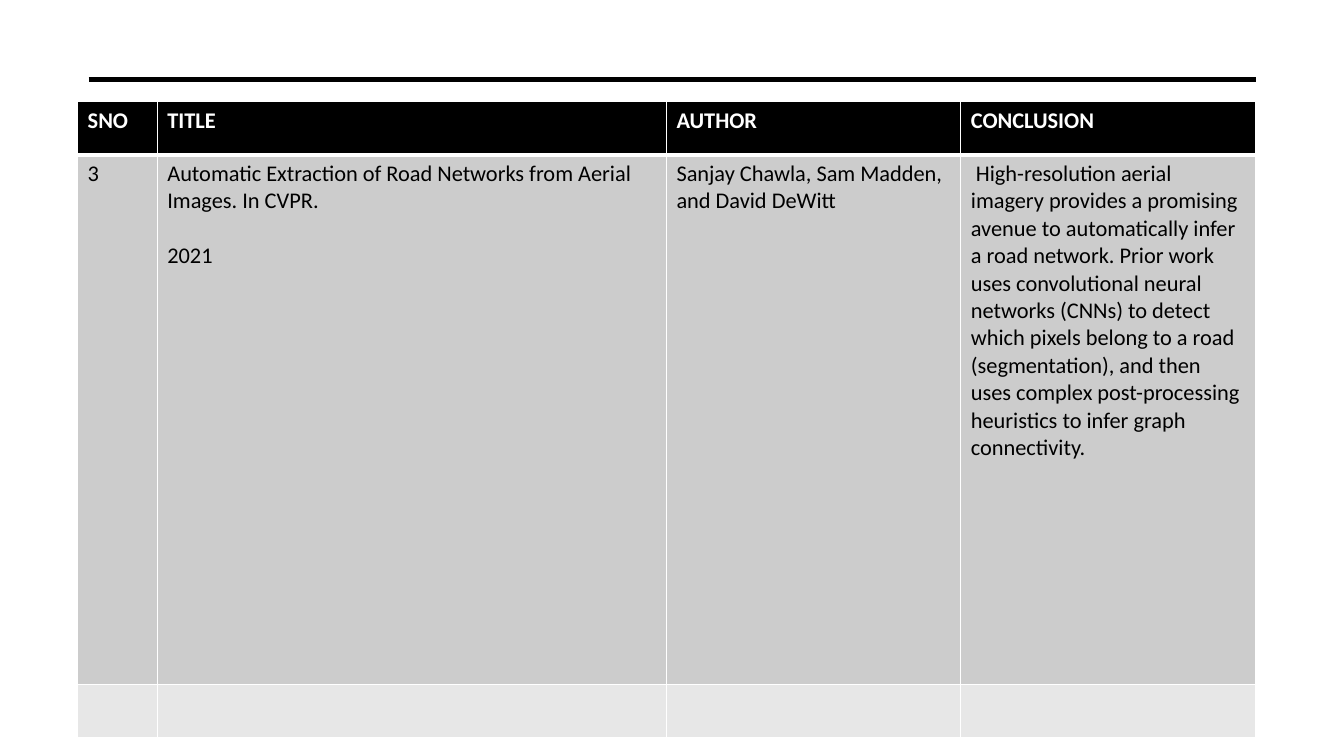
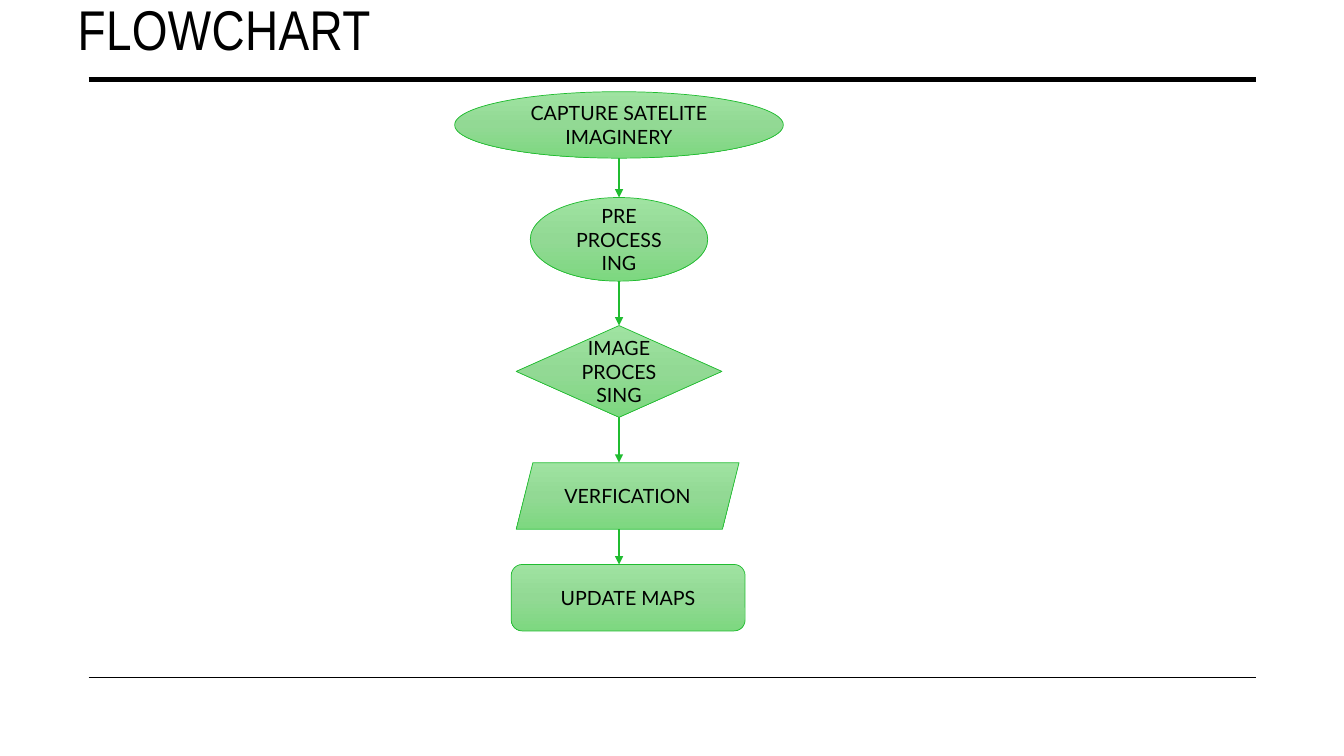
from lxml import etree
from pptx import Presentation, util as u
from pptx.dml.color import RGBColor
from pptx.enum import shapes, text
from pptx.oxml.ns import qn

BLACK, WHITE, GREEN = "000000", "FFFFFF", "20BC30"
SHADES = ((0, "9FE3A1"), (50, "92D994"), (100, "7DD880"))
ROWS = ("000000", "CCCCCC", "E7E7E7")
SHAPE = shapes.MSO_SHAPE


def rgb(code):
    return RGBColor.from_string(code)


def add(parent, tag, **attrs):
    node = etree.SubElement(parent, qn(tag))
    for key, value in attrs.items():
        node.set(key, str(value))
    return node


def write(frame, lines, font="Lato", size=14, color=BLACK, bold=False,
          align=text.PP_ALIGN.LEFT, anchor=None, gap=0, track=0):
    """Write one paragraph per line, with gap points between them."""
    frame.word_wrap = True
    if anchor is not None:
        frame.vertical_anchor = anchor
    for i, line in enumerate(lines.split("\n")):
        par = frame.add_paragraph() if i else frame.paragraphs[0]
        par.alignment = align
        if i:
            par.space_before = u.Pt(gap)
        run = par.add_run()
        run.text = line
        run.font.name, run.font.size = font, u.Pt(size)
        run.font.bold, run.font.color.rgb = bold, rgb(color)
        if track:
            run._r.get_or_add_rPr().set("spc", str(int(track * 100)))


class Deck:
    def __init__(self):
        self.prs = Presentation()
        self.prs.slide_width = u.Inches(13.33)
        self.prs.slide_height = u.Inches(7.5)
        self.slide = None

    def page(self, title=None):
        layout = self.prs.slide_layouts[5 if title else 6]
        self.slide = self.prs.slides.add_slide(layout)
        # Rules at head and foot
        for y, width in ((0.79, 3.5), (6.72, 1)):
            self.line(0.88, y, 12.46, y, BLACK, width)
        if title:
            self.title(title)

    def title(self, words):
        box = self.slide.shapes.title
        box.left, box.top = u.Inches(0.67), u.Inches(-0.1)
        box.width, box.height = u.Inches(11.69), u.Inches(1.5)
        box.text_frame.auto_size = text.MSO_AUTO_SIZE.NONE
        write(box.text_frame, words, font="Arial Narrow", size=40,
              anchor=text.MSO_ANCHOR.TOP, track=0.3)

    def line(self, x1, y1, x2, y2, color, width, arrow=False):
        ends = [u.Inches(v) for v in (x1, y1, x2, y2)]
        link = self.slide.shapes.add_connector(
            shapes.MSO_CONNECTOR.STRAIGHT, *ends)
        link.line.color.rgb, link.line.width = rgb(color), u.Pt(width)
        if arrow:
            add(link.line._get_or_add_ln(), "a:tailEnd", type="triangle")
        add(link.element.spPr, "a:effectLst")

    def node(self, kind, x, y, w, h, words):
        box = self.slide.shapes.add_shape(
            kind, *[u.Inches(v) for v in (x, y, w, h)])
        box.shadow.inherit = False
        box.fill.gradient()
        box.fill.gradient_angle = 270
        stops = box.element.spPr.find(".//" + qn("a:gsLst"))
        for old in list(stops):
            stops.remove(old)
        for place, color in SHADES:
            stop = add(stops, "a:gs", pos=place * 1000)
            add(stop, "a:srgbClr", val=color)
        box.line.color.rgb, box.line.width = rgb(GREEN), u.Pt(0.5)
        write(box.text_frame, words, align=text.PP_ALIGN.CENTER,
              anchor=text.MSO_ANCHOR.MIDDLE)

    def edge(self, cell, side, width):
        rule = add(cell._tc.get_or_add_tcPr(), "a:ln" + side,
                   w=int(u.Pt(width)))
        add(add(rule, "a:solidFill"), "a:srgbClr", val=WHITE)

    def table(self, x, y, cols, rows, data):
        grid = self.slide.shapes.add_table(
            len(rows), len(cols), u.Inches(x), u.Inches(y),
            u.Inches(sum(cols)), u.Inches(sum(rows))).table
        for col, width in zip(grid.columns, cols):
            col.width = u.Inches(width)
        for r, height in enumerate(rows):
            grid.rows[r].height = u.Inches(height)
            for c, words in enumerate(data[r]):
                cell = grid.cell(r, c)
                # Borders come before the fill; a thick rule ends the header
                for side in "LRTB":
                    thick = (r, side) in ((0, "B"), (1, "T"))
                    self.edge(cell, side, 3 if thick else 1)
                cell.fill.solid()
                cell.fill.fore_color.rgb = rgb(ROWS[r])
                if words:
                    write(cell.text_frame, words, font="Calibri", size=16,
                          color=BLACK if r else WHITE, bold=r == 0, gap=19.5)


def main():
    deck = Deck()

    # Literature table
    deck.page()
    deck.table(0.77, 1.01, (0.79, 5.05, 2.92, 2.92), (0.53, 5.25, 0.53), (
        ("SNO", "TITLE", "AUTHOR", "CONCLUSION"),
        ("3",
         "Automatic Extraction of Road Networks from Aerial Images. "
         "In CVPR.\n2021",
         "Sanjay Chawla, Sam Madden, and David DeWitt",
         " High-resolution aerial imagery provides a promising avenue to "
         "automatically infer a road network. Prior work uses convolutional "
         "neural networks (CNNs) to detect which pixels belong to a road "
         "(segmentation), and then uses complex post-processing heuristics "
         "to infer graph connectivity."),
        ("",) * 4))

    # Flowchart, top to bottom
    deck.page("FLOWCHART")
    steps = (
        (SHAPE.OVAL, 4.51, 0.91, 3.26, 0.66, "CAPTURE SATELITE IMAGINERY"),
        (SHAPE.OVAL, 5.26, 1.96, 1.76, 0.83, "PRE\nPROCESS\nING"),
        (SHAPE.DIAMOND, 5.12, 3.23, 2.04, 0.91, "IMAGE PROCESSING"),
        (SHAPE.PARALLELOGRAM, 5.12, 4.59, 2.21, 0.66, "VERFICATION"),
        (SHAPE.ROUNDED_RECTANGLE, 5.07, 5.6, 2.32, 0.66, "UPDATE MAPS"))
    for step in steps:
        deck.node(*step)
    for above, below in zip(steps, steps[1:]):
        deck.line(6.14, above[2] + above[4], 6.14, below[2], GREEN, 1.5,
                  arrow=True)

    deck.prs.save("out.pptx")


if __name__ == "__main__":
    main()
